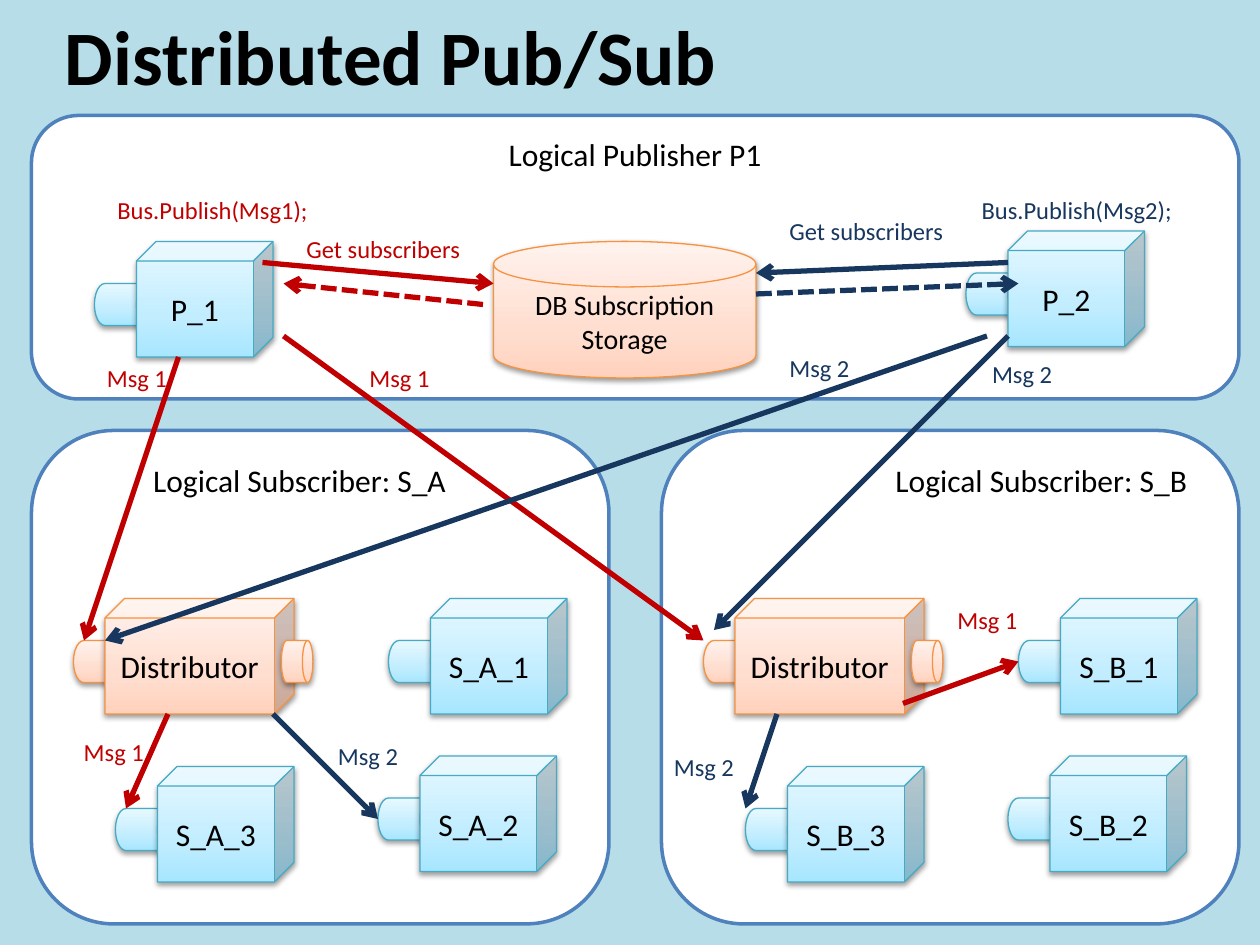
"""Build the distributed publish/subscribe slide on a grid of 120 by 90 units."""
from copy import deepcopy
from typing import Any, NamedTuple

from pptx import Presentation
from pptx.dml.color import RGBColor as Rgb
from pptx.enum.dml import MSO_LINE as Dash
from pptx.enum.shapes import MSO_CONNECTOR as Conn, MSO_SHAPE as Kind
from pptx.enum.text import MSO_ANCHOR as Anchor, PP_ALIGN as Align
from pptx.oxml.ns import qn
from pptx.util import Cm, Pt
from lxml.etree import SubElement as Sub

BLACK, WHITE, RED, NAVY = "000000", "FFFFFF", "C00000", "17375E"
SKY, EDGE = "B7DEE8", "4F81BD"


class Box(NamedTuple):
    x: float
    y: float
    w: float
    h: float


class Theme(NamedTuple):
    line: str
    stops: tuple[str, str, str]


class Node(NamedTuple):
    name: str
    x: float
    y: float


class Arrow(NamedTuple):
    x1: float
    y1: float
    x2: float
    y2: float
    hue: str
    dash: bool = False


class Label(NamedTuple):
    text: str
    x: float
    y: float
    w: float
    hue: str


class Panel(NamedTuple):
    text: str
    box: Box
    inset: float = 0


BLUE = Theme("46AAC5", ("A7E6FF", "C1EDFF", "E7F8FF"))
PEACH = Theme("F69240", ("FFD2BD", "FFDED0", "FFF2ED"))

PANELS = [
    Panel("Logical Publisher P1", Box(3, 11, 115, 27)),
    Panel("Logical Subscriber: S_A", Box(3, 41, 55, 47), 9.3),
    Panel("Logical Subscriber: S_B", Box(63, 41, 55, 47), 20),
]
HUBS = [Node("Distributor", x, 57) for x in (10, 70)]
NODES = [Node("P_1", 13, 23), Node("P_2", 96, 22)] + [
    Node(f"S_{side}_{num}", x + shift, y)
    for side, shift in (("A", 0), ("B", 60))
    for num, x, y in ((1, 41, 57), (2, 40, 72), (3, 15, 73))
]
ARROWS = [
    Arrow(16, 68, 12, 77, RED),
    Arrow(26, 68, 36, 78, NAVY),
    Arrow(86, 67, 97, 63, RED),
    Arrow(74, 68, 71, 77, NAVY),
    Arrow(25, 25, 47, 27, RED),
    Arrow(46, 29, 27, 27, RED, True),
    Arrow(17, 34, 8, 61, RED),
    Arrow(27, 32, 67, 61, RED),
    Arrow(96, 25, 72, 26, NAVY),
    Arrow(72, 28, 97, 27, NAVY, True),
    Arrow(96, 32, 68, 60, NAVY),
    Arrow(94, 32, 10, 61, NAVY),
]
LABELS = [
    Label("Bus.Publish(Msg1);", 10, 18, 20.8, RED),
    Label("Bus.Publish(Msg2);", 92.3, 18, 20.8, NAVY),
    Label("Get subscribers", 28, 21.7, 17.2, RED),
    Label("Get subscribers", 74, 20, 17.2, NAVY),
] + [
    Label("Msg 1", x, y, 8.2, RED)
    for x, y in ((6.8, 69.6), (90, 57), (9, 34), (34, 34))
] + [
    Label("Msg 2", x, y, 8.2, NAVY)
    for x, y in ((31, 70), (63, 71), (74, 33), (93.3, 33.6))
]


def unit(n: float) -> Cm:
    return Cm(n * 2.54 / 12)


def place(box: Box) -> list[Cm]:
    return [unit(n) for n in box]


def tint(hue: str) -> Rgb:
    return Rgb.from_string(hue)


def write(shape: Any, text: str, size: float, hue: str = BLACK,
          align: Any = Align.CENTER, bold: bool = False) -> None:
    frame = shape.text_frame
    frame.text = text
    for para in frame.paragraphs:
        para.alignment = align
        for run in para.runs:
            font = run.font
            font.name, font.size, font.bold = "Calibri", Pt(size), bold
            font.color.rgb = tint(hue)


def edge(line: Any, hue: str, width: float) -> None:
    line.color.rgb = tint(hue)
    line.width = Pt(width)


def glossy(shapes: Any, kind: Any, box: Box, theme: Theme) -> Any:
    shape = shapes.add_shape(kind, *place(box))
    shape.shadow.inherit = False
    edge(shape.line, theme.line, 0.75)
    shape.fill.gradient()
    shape.fill.gradient_angle = 90
    props = shape.element.spPr
    ramp = props.find(".//" + qn("a:gsLst"))
    ramp.append(deepcopy(ramp[-1]))
    for stop, spot, hue in zip(shape.fill.gradient_stops, (0, 0.35, 1), theme.stops):
        stop.position = spot
        stop.color.rgb = tint(hue)
    cast = Sub(props.find(qn("a:effectLst")), qn("a:outerShdw"), blurRad="40000",
               dist="20000", dir="5400000", rotWithShape="0")
    Sub(Sub(cast, qn("a:srgbClr"), val=BLACK), qn("a:alpha"), val="38000")
    return shape


def draw_panel(shapes: Any, panel: Panel) -> None:
    shape = shapes.add_shape(Kind.ROUNDED_RECTANGLE, *place(panel.box))
    shape.shadow.inherit = False
    shape.fill.solid()
    shape.fill.fore_color.rgb = tint(WHITE)
    edge(shape.line, EDGE, 2)
    shape.text_frame.vertical_anchor = Anchor.TOP
    if panel.inset:
        shape.text_frame.margin_left = unit(panel.inset)
    write(shape, panel.text, 18, align=Align.LEFT if panel.inset else Align.CENTER)


def draw_node(shapes: Any, node: Node, hub: bool = False) -> None:
    group = shapes.add_group_shape().shapes
    theme, lead, width = (PEACH, 3, 18) if hub else (BLUE, 4, 13)
    glossy(group, Kind.FLOWCHART_DIRECT_ACCESS_STORAGE,
           Box(node.x - lead, node.y + 4, 6, 4), theme)
    cube = glossy(group, Kind.CUBE, Box(node.x, node.y, width, 11), theme)
    cube.adjustments[0] = 0.17
    cube.text_frame.vertical_anchor = Anchor.MIDDLE
    write(cube, node.name, 18)
    if hub:
        glossy(group, Kind.FLOWCHART_DIRECT_ACCESS_STORAGE,
               Box(node.x + 16.8, node.y + 4, 3, 4), theme)


def draw_arrow(shapes: Any, arrow: Arrow) -> None:
    link = shapes.add_connector(Conn.STRAIGHT, *(unit(n) for n in arrow[:4]))
    edge(link.line, arrow.hue, 3)
    if arrow.dash:
        link.line.dash_style = Dash.SQUARE_DOT
    props = link.element.spPr
    Sub(props.find(qn("a:ln")), qn("a:tailEnd"), type="arrow")
    Sub(props, qn("a:effectLst"))


def draw_label(shapes: Any, label: Label) -> None:
    text = shapes.add_textbox(*place(Box(label.x, label.y, label.w, 4.1)))
    text.text_frame.word_wrap = False
    write(text, label.text, 14, label.hue, Align.LEFT)


def main() -> None:
    deck = Presentation()
    deck.slide_width, deck.slide_height = unit(120), unit(90)
    slide = deck.slides.add_slide(deck.slide_layouts[6])
    slide.background.fill.solid()
    slide.background.fill.fore_color.rgb = tint(SKY)
    shapes = slide.shapes
    title = shapes.add_textbox(*place(Box(5, 0, 115, 10.4)))
    title.text_frame.word_wrap = True
    title.text_frame.vertical_anchor = Anchor.MIDDLE
    write(title, "Distributed Pub/Sub", 44, align=Align.LEFT, bold=True)
    for panel in PANELS:
        draw_panel(shapes, panel)
    for hub in HUBS:
        draw_node(shapes, hub, True)
    for node in NODES:
        draw_node(shapes, node)
    store = glossy(shapes, Kind.FLOWCHART_MAGNETIC_DISK, Box(47, 23, 25, 13), PEACH)
    store.text_frame.vertical_anchor = Anchor.MIDDLE
    write(store, "DB Subscription Storage", 16)
    for arrow in ARROWS:
        draw_arrow(shapes, arrow)
    for label in LABELS:
        draw_label(shapes, label)
    deck.save("out.pptx")


main()
